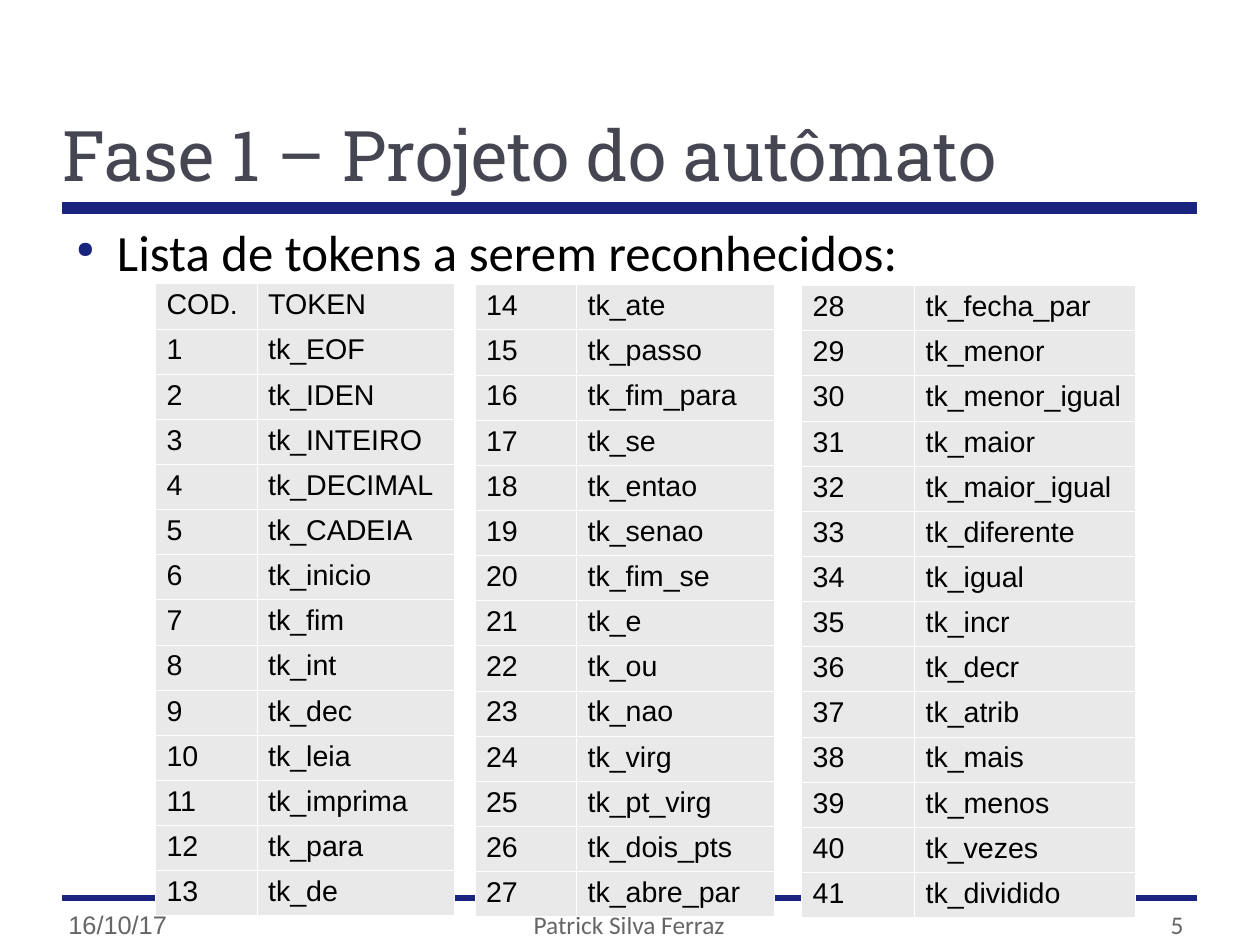
from dataclasses import dataclass

from lxml import etree
from pptx import Presentation
from pptx import util as u
from pptx.dml.color import RGBColor
from pptx.enum import shapes, text
from pptx.oxml import ns


@dataclass(frozen=True)
class Theme:
    navy: str = "1A237E"
    heading: str = "464653"
    ink: str = "000000"
    muted: str = "666666"
    cell: str = "E9E9E9"
    grid: str = "FFFFFF"
    title_size: float = 44
    body_size: float = 32
    table_size: float = 18
    footer_size: float = 16
    title_font: str = "Roboto Slab"
    body_font: str = "Calibri"
    table_font: str = "Arial"


THEME = Theme()
ALIGN = text.PP_ALIGN
ANCHOR = text.MSO_ANCHOR

# Content: each column of tokens is one table
FIRST_COLUMN = ("tk_EOF tk_IDEN tk_INTEIRO tk_DECIMAL tk_CADEIA tk_inicio tk_fim "
                "tk_int tk_dec tk_leia tk_imprima tk_para tk_de").split()
SECOND_COLUMN = ("tk_ate tk_passo tk_fim_para tk_se tk_entao tk_senao tk_fim_se "
                 "tk_e tk_ou tk_nao tk_virg tk_pt_virg tk_dois_pts tk_abre_par").split()
THIRD_COLUMN = ("tk_fecha_par tk_menor tk_menor_igual tk_maior tk_maior_igual "
                "tk_diferente tk_igual tk_incr tk_decr tk_atrib tk_mais tk_menos "
                "tk_vezes tk_dividido").split()


def write(para, words, *, size, color, font, align=ALIGN.LEFT):
    para.alignment = align
    span = para.add_run()
    span.text = words
    span.font.size = u.Pt(size)
    span.font.name = font
    span.font.color.rgb = RGBColor.from_string(color)


def set_margins(target, horizontal, vertical):
    target.margin_left = target.margin_right = u.Cm(horizontal)
    target.margin_top = target.margin_bottom = u.Cm(vertical)


def add_text(page, words, left, top, width, height, *, anchor=ANCHOR.BOTTOM,
             margins=(0, 0), bullet=False, **style):
    box = page.shapes.add_textbox(u.Cm(left), u.Cm(top), u.Cm(width), u.Cm(height))
    frame = box.text_frame
    frame.word_wrap = True
    frame.vertical_anchor = anchor
    set_margins(frame, *margins)
    para = frame.paragraphs[0]
    if bullet:
        add_bullet(para)
    write(para, words, **style)


def add_bullet(para):
    props = para._p.get_or_add_pPr()
    props.set("marL", str(u.Cm(1.2)))
    props.set("indent", str(u.Cm(-0.9)))
    color = etree.SubElement(props, ns.qn("a:buClr"))
    etree.SubElement(color, ns.qn("a:srgbClr"), val=THEME.navy)
    etree.SubElement(props, ns.qn("a:buSzPct"), val="45000")
    etree.SubElement(props, ns.qn("a:buChar"), char="●")


def add_rule(page, top, height):
    rule = page.shapes.add_shape(shapes.MSO_SHAPE.RECTANGLE,
                                 u.Cm(1.4), u.Cm(top), u.Cm(25.2), u.Cm(height))
    rule.shadow.inherit = False
    rule.fill.solid()
    rule.fill.fore_color.rgb = RGBColor.from_string(THEME.navy)
    rule.line.color.rgb = RGBColor.from_string(THEME.navy)
    rule.line.width = u.Pt(0)


def add_borders(cell):
    props = cell._tc.get_or_add_tcPr()
    for position, side in enumerate(("lnL", "lnR", "lnT", "lnB")):
        line = etree.Element(ns.qn(f"a:{side}"), w=str(u.Pt(0.06)))
        fill = etree.SubElement(line, ns.qn("a:solidFill"))
        etree.SubElement(fill, ns.qn("a:srgbClr"), val=THEME.grid)
        props.insert(position, line)


def add_token_table(page, rows, left, top, widths):
    row_height = 0.97
    frame = page.shapes.add_table(len(rows), len(widths), u.Cm(left), u.Cm(top),
                                  u.Cm(sum(widths)), u.Cm(row_height * len(rows)))
    table = frame.table
    table.first_row = table.horz_banding = False
    for column, width in zip(table.columns, widths):
        column.width = u.Cm(width)
    for row, values in zip(table.rows, rows):
        row.height = u.Cm(row_height)
        for cell, value in zip(row.cells, values):
            set_margins(cell, 0.25, 0.12)
            cell.fill.solid()
            cell.fill.fore_color.rgb = RGBColor.from_string(THEME.cell)
            add_borders(cell)
            write(cell.text_frame.paragraphs[0], str(value), size=THEME.table_size,
                  color=THEME.ink, font=THEME.table_font)


def main():
    deck = Presentation()
    deck.slide_width, deck.slide_height = u.Cm(28), u.Cm(21)
    page = deck.slides.add_slide(deck.slide_layouts[6])

    # Footer
    footer = dict(margins=(0.25, 0.13), size=THEME.footer_size, color=THEME.muted)
    add_text(page, "16/10/17", 1.27, 19.56, 6.53, 1.44,
             font=THEME.table_font, **footer)
    add_text(page, "Patrick Silva Ferraz", 9.55, 19.8, 8.86, 1.2,
             font=THEME.body_font, align=ALIGN.CENTER, **footer)
    add_text(page, "5", 20.07, 19.8, 6.48, 1.2,
             font=THEME.body_font, align=ALIGN.RIGHT, **footer)

    # Rules below the title and above the footer
    add_rule(page, 4.5, 0.25)
    add_rule(page, 19.91, 0.1)

    # Title and lead line
    add_text(page, "Fase 1 – Projeto do autômato", 1.4, 0.84, 25.2, 3.5,
             size=THEME.title_size, color=THEME.heading, font=THEME.title_font)
    add_text(page, "Lista de tokens a serem reconhecidos:", 1.4, 4.9, 25.2, 1.5,
             anchor=ANCHOR.TOP, bullet=True, align=ALIGN.JUSTIFY,
             size=THEME.body_size, color=THEME.ink, font=THEME.body_font)

    # Token tables
    add_token_table(page, [("COD.", "TOKEN"), *enumerate(FIRST_COLUMN, 1)],
                    3.45, 6.3, (2.26, 4.39))
    add_token_table(page, list(enumerate(SECOND_COLUMN, 14)),
                    10.55, 6.32, (2.26, 4.39))
    add_token_table(page, list(enumerate(THIRD_COLUMN, 28)),
                    17.81, 6.34, (2.51, 4.9))

    deck.save("out.pptx")


if __name__ == "__main__":
    main()
